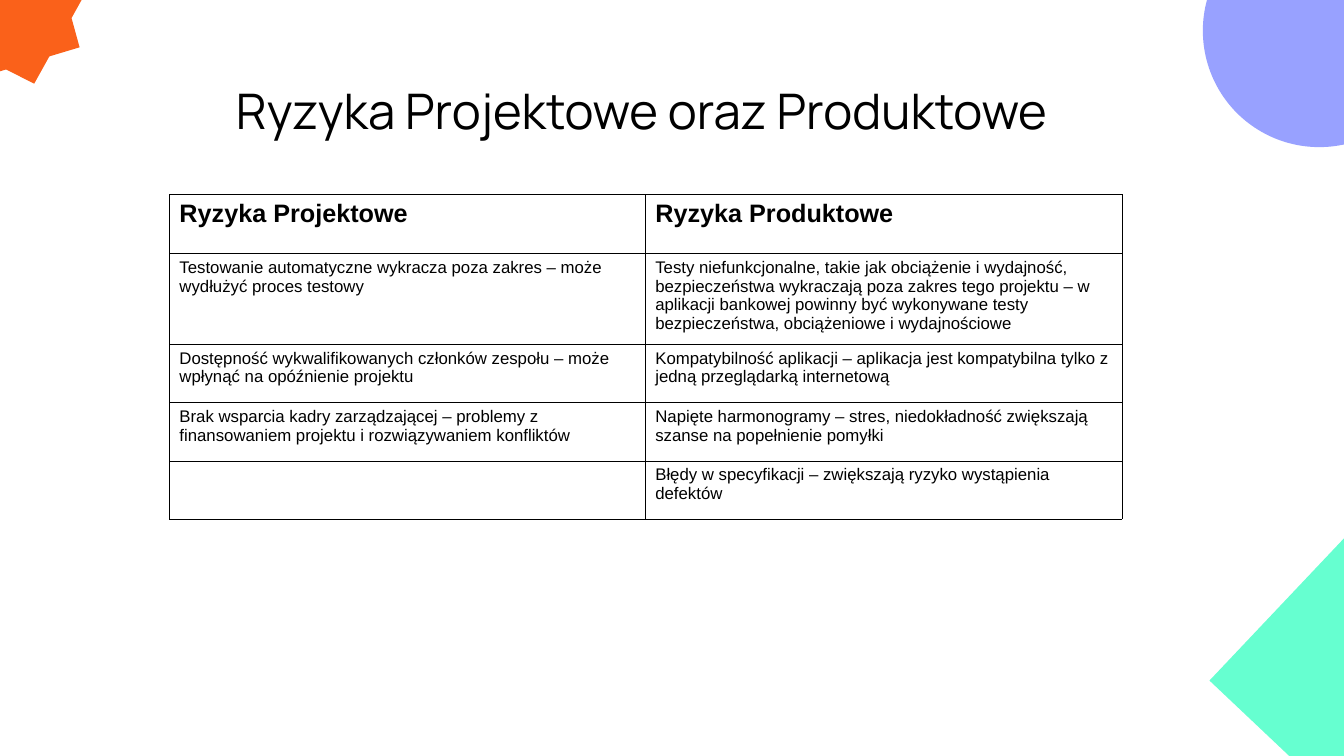
from lxml import etree
from pptx import Presentation
from pptx.dml.color import RGBColor
from pptx.enum.shapes import MSO_SHAPE as Preset
from pptx.enum.text import MSO_ANCHOR as Anchor, PP_ALIGN as Align
from pptx.oxml import parse_xml
from pptx.oxml.ns import nsdecls
from pptx.util import Inches, Pt

BLACK = RGBColor(0x00, 0x00, 0x00)
WHITE = RGBColor(0xFF, 0xFF, 0xFF)
VIOLET = RGBColor(0x98, 0xA1, 0xFF)
MINT = RGBColor(0x66, 0xFF, 0xD0)
ORANGE = RGBColor(0xFA, 0x61, 0x1A)

STAR_POINTS = [
    (-0.6, 0.35), (-0.33, 0.48), (-0.24, 0.78), (0.06, 0.69),
    (0.34, 0.83), (0.49, 0.56), (0.79, 0.47), (0.71, 0.18),
    (0.86, -0.09), (0.59, -0.23), (0.5, -0.52), (0.2, -0.43),
    (-0.08, -0.57), (-0.23, -0.31), (-0.54, -0.21), (-0.45, 0.07),
]

RISKS = [
    ("Ryzyka Projektowe", "Ryzyka Produktowe"),
    ("Testowanie automatyczne wykracza poza zakres – może wydłużyć proces testowy",
     "Testy niefunkcjonalne, takie jak obciążenie i wydajność, bezpieczeństwa "
     "wykraczają poza zakres tego projektu – w aplikacji bankowej powinny być "
     "wykonywane testy bezpieczeństwa, obciążeniowe i wydajnościowe"),
    ("Dostępność wykwalifikowanych członków zespołu – może wpłynąć na opóźnienie projektu",
     "Kompatybilność aplikacji – aplikacja jest kompatybilna tylko z jedną "
     "przeglądarką internetową"),
    ("Brak wsparcia kadry zarządzającej – problemy z finansowaniem projektu "
     "i rozwiązywaniem konfliktów",
     "Napięte harmonogramy – stres, niedokładność zwiększają szanse na popełnienie pomyłki"),
    ("", "Błędy w specyfikacji – zwiększają ryzyko wystąpienia defektów"),
]
COLUMN_WIDTHS = (4.72, 4.73)
ROW_HEIGHT = 0.58


def paint(shape, color):
    shape.shadow.inherit = False
    shape.fill.solid()
    shape.fill.fore_color.rgb = color
    shape.line.fill.background()


def add_decoration(slide, preset, left, top, width, height, color, rotation=0):
    shape = slide.shapes.add_shape(
        preset, Inches(left), Inches(top), Inches(width), Inches(height))
    shape.rotation = rotation
    paint(shape, color)


def add_star(slide, points, color):
    start, *others = [(Inches(x), Inches(y)) for x, y in points]
    builder = slide.shapes.build_freeform(*start)
    builder.add_line_segments(others, close=True)
    paint(builder.convert_to_shape(), color)


def format_font(font, name, size, bold=False):
    font.name = name
    font.size = Pt(size)
    font.bold = bold
    font.color.rgb = BLACK


def add_title(slide, text):
    box = slide.shapes.add_textbox(Inches(0.92), Inches(0.4), Inches(10.89), Inches(1.45))
    frame = box.text_frame
    frame.word_wrap = True
    frame.vertical_anchor = Anchor.MIDDLE
    frame.text = text
    paragraph = frame.paragraphs[0]
    paragraph.alignment = Align.CENTER
    paragraph.line_spacing = 0.9
    format_font(paragraph.runs[0].font, "Manrope", 35)


def set_borders(cell, color, width):
    properties = cell._tc.get_or_add_tcPr()
    for position, side in enumerate(("lnL", "lnR", "lnT", "lnB")):
        border = parse_xml(f'<a:{side} {nsdecls("a")} w="{Pt(width)}"/>')
        fill = etree.SubElement(border, border.tag.replace(side, "solidFill"))
        etree.SubElement(fill, border.tag.replace(side, "srgbClr"), val=str(color))
        properties.insert(position, border)


def add_risk_table(slide, rows):
    frame = slide.shapes.add_table(
        len(rows), len(COLUMN_WIDTHS), Inches(1.68), Inches(1.93),
        Inches(sum(COLUMN_WIDTHS)), Inches(ROW_HEIGHT * len(rows)))
    table = frame.table
    table.first_row = False
    table.horz_banding = False
    for column, width in zip(table.columns, COLUMN_WIDTHS):
        column.width = Inches(width)
    for row_index, texts in enumerate(rows):
        table.rows[row_index].height = Inches(ROW_HEIGHT)
        is_header = row_index == 0
        for column_index, text in enumerate(texts):
            cell = table.cell(row_index, column_index)
            cell.fill.solid()
            cell.fill.fore_color.rgb = WHITE
            set_borders(cell, BLACK, 0.06)
            cell.text_frame.text = text
            for run in cell.text_frame.paragraphs[0].runs:
                format_font(run.font, "Arial", 18 if is_header else 12, is_header)


def main():
    presentation = Presentation()
    presentation.slide_width = Inches(13.33)
    presentation.slide_height = Inches(7.5)
    slide = presentation.slides.add_slide(presentation.slide_layouts[6])

    # Corner decorations
    add_decoration(slide, Preset.OVAL, 11.93, -0.85, 2.31, 2.31, VIOLET)
    add_decoration(slide, Preset.RECTANGLE, 12.37, 4.92, 3.88, 2.7, MINT, rotation=313.4)
    add_star(slide, STAR_POINTS, ORANGE)

    # Title and risks
    add_title(slide, "Ryzyka Projektowe oraz Produktowe")
    add_risk_table(slide, RISKS)

    presentation.save("out.pptx")


if __name__ == "__main__":
    main()
